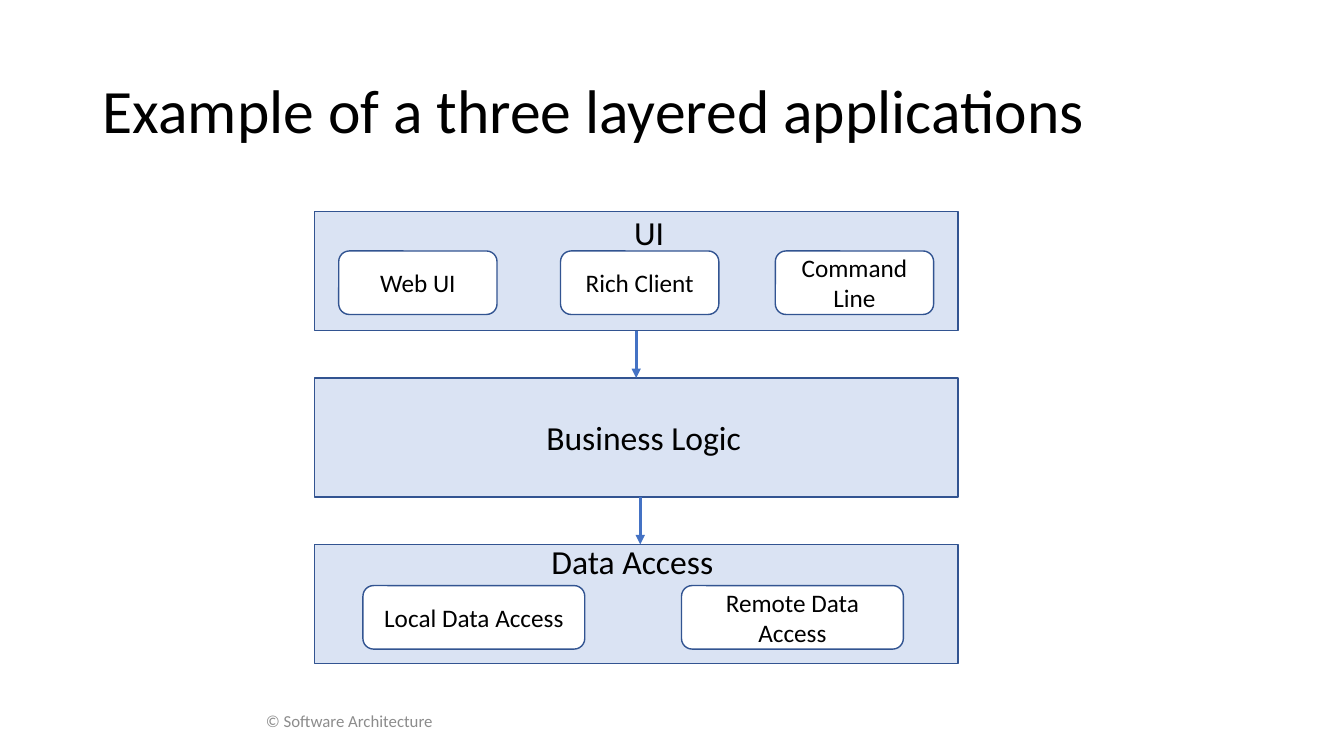
from pptx import Presentation, util as u
from pptx.dml.color import RGBColor
from pptx.enum import shapes, text
from pptx.oxml.ns import qn
from lxml import etree

TITLE = "Example of a three layered applications"
FOOTER = "© Software Architecture"
LAYERS = [
    {"label": "UI", "label_at": (619, 205), "part_top": 249, "part_width": 157,
     "parts": [("Web UI", 336), ("Rich Client", 556), ("Command Line", 769)]},
    {"label": "Business Logic", "label_at": (532, 409), "parts": []},
    {"label": "Data Access", "label_at": (537, 532), "part_top": 581, "part_width": 220,
     "parts": [("Local Data Access", 360), ("Remote Data Access", 676)]},
]
ARROW_XS = [631, 635]
COLORS = {"ink": "000000", "muted": "8C8C8C", "layer": "DAE3F3",
          "part": "FFFFFF", "outline": "325491", "arrow": "4472C4"}
FONT = "Calibri"
PX = u.Inches(1) // 100
SLIDE_WIDTH, SLIDE_HEIGHT = 1333, 750
LAYER_LEFT, LAYER_TOP, LAYER_WIDTH, LAYER_HEIGHT = 312, 210, 638, 118
LAYER_STEP = 165
PART_HEIGHT = 63
LABEL_SIZE = (252, 50)


def px(*lengths):
    return [length * PX for length in lengths]


def color(name):
    return RGBColor.from_string(COLORS[name])


def write(holder, words, size=18, ink="ink", align=text.PP_ALIGN.LEFT,
          anchor=text.MSO_ANCHOR.MIDDLE, spacing=None):
    frame = holder.text_frame
    frame.word_wrap = True
    frame.vertical_anchor = anchor
    line = frame.paragraphs[0]
    line.alignment = align
    line.line_spacing = spacing
    run = line.add_run()
    run.text = words
    run.font.name = FONT
    run.font.size = u.Pt(size)
    run.font.color.rgb = color(ink)


def add_box(slide, kind, area, fill):
    box = slide.shapes.add_shape(kind, *px(*area))
    box.shadow.inherit = False
    box.fill.solid()
    box.fill.fore_color.rgb = color(fill)
    box.line.color.rgb = color("outline")
    box.line.width = u.Pt(1)
    return box


def add_arrow(slide, x, top, bottom):
    arrow = slide.shapes.add_connector(shapes.MSO_CONNECTOR.STRAIGHT, *px(x, top, x, bottom))
    arrow.line.color.rgb = color("arrow")
    arrow.line.width = u.Pt(2.25)
    etree.SubElement(arrow.line._get_or_add_ln(), qn("a:tailEnd"), type="triangle")
    etree.SubElement(arrow._element.spPr, qn("a:effectLst"))


def main():
    deck = Presentation()
    deck.slide_width, deck.slide_height = px(SLIDE_WIDTH, SLIDE_HEIGHT)
    slide = deck.slides.add_slide(deck.slide_layouts[6])

    title = slide.shapes.add_textbox(*px(92, 40, 1150, 145))
    write(title, TITLE, size=44, spacing=0.9)
    footer = slide.shapes.add_textbox(*px(0, 695, 693, 40))
    write(footer, FOOTER, size=12, ink="muted", align=text.PP_ALIGN.CENTER)

    tops = [LAYER_TOP + LAYER_STEP * i for i in range(len(LAYERS))]
    for layer, top in zip(LAYERS, tops):
        add_box(slide, shapes.MSO_SHAPE.RECTANGLE,
                (LAYER_LEFT, top, LAYER_WIDTH, LAYER_HEIGHT), "layer")
        for name, left in layer["parts"]:
            part = add_box(slide, shapes.MSO_SHAPE.ROUNDED_RECTANGLE,
                           (left, layer["part_top"], layer["part_width"], PART_HEIGHT), "part")
            write(part, name, align=text.PP_ALIGN.CENTER)
        label = slide.shapes.add_textbox(*px(*layer["label_at"], *LABEL_SIZE))
        write(label, layer["label"], size=24, anchor=text.MSO_ANCHOR.TOP)

    for x, top, next_top in zip(ARROW_XS, tops, tops[1:]):
        add_arrow(slide, x, top + LAYER_HEIGHT, next_top)

    deck.save("out.pptx")


if __name__ == "__main__":
    main()
